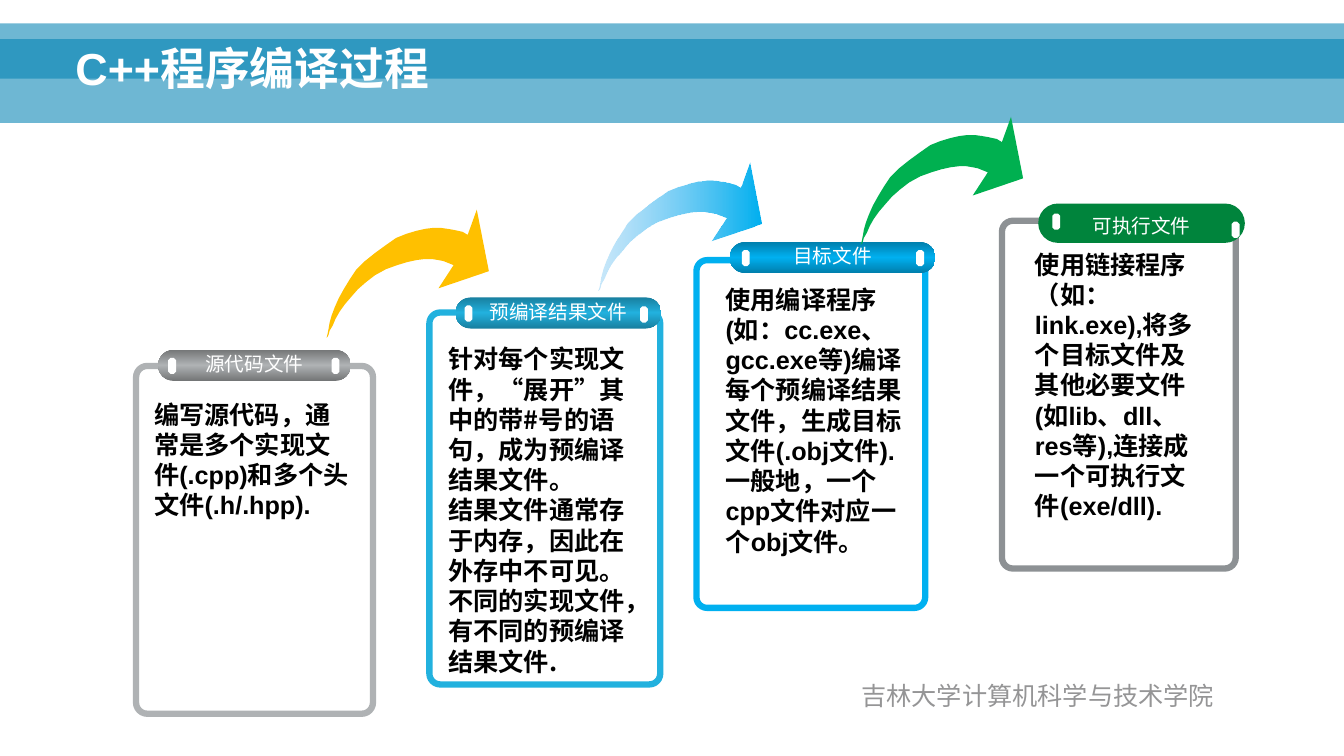
import pptx
import pptx.util
import pptx.dml.color
import pptx.enum.shapes
import pptx.enum.text
import pptx.oxml.ns
from lxml import etree

Pt = pptx.util.Pt
qn = pptx.oxml.ns.qn
SHAPE = pptx.enum.shapes.MSO_SHAPE
ALIGN = pptx.enum.text.PP_ALIGN
ANCHOR = pptx.enum.text.MSO_ANCHOR
CJK = "Noto Sans CJK SC"

# Swoosh outline in hundredths of an inch, from the tail round the head and back
SWOOSH = [
    (0, 127), (1, 126), (2, 124), (3, 120), (6, 115), (9, 108), (13, 101),
    (18, 94), (24, 87), (31, 79), (39, 72), (48, 65), (59, 59), (70, 55),
    (80, 52), (89, 50), (97, 49), (105, 49), (111, 50), (116, 51), (121, 53),
    (126, 55), (111, 78), (161, 61), (149, 0), (140, 25), (135, 22),
    (126, 20), (120, 19), (113, 18), (106, 18), (98, 19), (89, 21), (79, 24),
    (69, 28), (59, 35), (48, 43), (38, 51), (29, 60), (23, 69), (17, 79),
    (12, 88), (8, 97), (5, 105), (3, 112), (2, 118), (1, 123),
]

# Left, top and gradient stops of each arrow
ARROWS = [
    (233.3, 149.8, [(0, "FFC000")]),
    (427.7, 115.9, [(0, "5AB9F1", 32), (100, "00B0F0")]),
    (614.9, 83.5, [(0, "00B050")]),
]

# One card per stage; every box is left, top, width, height
CARDS = [
    dict(label="源代码文件", line="AFB2B4", edge="747677", middle="AFB2B4",
         frame=(97.2, 261.4, 169.2, 248.4), cap=(113, 249.8, 137.5, 22.3),
         notches=[(120.2, 255.6), (236.9, 255.6)],
         body=(103, 281.5, 157.7, 94.3), font="Arial",
         text="编写源代码，通常是多个实现文件(.cpp)和多个头文件(.h/.hpp)."),
    dict(label="预编译结果文件", line="22B1DE", edge="187F9F", middle="22B1DE",
         frame=(306.7, 223.2, 164.9, 265.7), cap=(325.4, 212.4, 146.9, 22.3),
         notches=[(331.9, 218.2), (457.2, 218.9)],
         body=(313.2, 241.9, 149.8, 247), font=CJK,
         text="针对每个实现文件，“展开”其中的带#号的语句，成为预编译结果文件。\n"
              "结果文件通常存于内存，因此在外存中不可见。\n"
              "不同的实现文件，有不同的预编译结果文件."),
    dict(label="目标文件", line="00B0F0", edge="007EAC", middle="00B0F0",
         frame=(497.5, 185.8, 163.4, 248.4), cap=(521.3, 172.8, 146.9, 22.3),
         notches=[(529.9, 178.6), (654.5, 178.6)],
         body=(511.2, 199.4, 143.3, 203.8), font="Arial",
         text="使用编译程序(如：cc.exe、gcc.exe等)编译每个预编译结果文件，"
              "生成目标文件(.obj文件).\n"
              "一般地，一个cpp文件对应一个obj文件。"),
    dict(label="可执行文件", line="8D9194", edge="00843C", middle="00843C",
         frame=(715.7, 157.7, 167, 248.4), cap=(741.6, 145.4, 147.6, 28.1),
         notches=[(751.7, 152.6), (879.8, 158.4)],
         body=(732.2, 174.2, 139.7, 181.4), font="Arial",
         text="使用链接程序（如：link.exe),将多个目标文件及其他必要文件"
              "(如lib、dll、res等),连接成一个可执行文件(exe/dll)."),
]


def rgb(color):
    return pptx.dml.color.RGBColor.from_string(color)


def add_alpha(color_element, percent):
    etree.SubElement(color_element, qn("a:alpha"), val=str(percent * 1000))


def paint(sp, stops, angle=0):
    """Fill with one colour or a gradient; a stop is position, colour[, opacity]."""
    if len({stop[1] for stop in stops}) == 1:
        sp.fill.solid()
        sp.fill.fore_color.rgb = rgb(stops[0][1])
        colors = [sp._element.spPr.find(f"{qn('a:solidFill')}/{qn('a:srgbClr')}")]
    else:
        sp.fill.gradient()
        sp.fill.gradient_angle = angle
        gs_list = sp._element.spPr.find(f"{qn('a:gradFill')}/{qn('a:gsLst')}")
        for gs in list(gs_list):
            gs_list.remove(gs)
        colors = []
        for stop in stops:
            gs = etree.SubElement(gs_list, qn("a:gs"), pos=str(stop[0] * 1000))
            colors.append(etree.SubElement(gs, qn("a:srgbClr"), val=stop[1]))
    for color, stop in zip(colors, stops):
        if len(stop) > 2:
            add_alpha(color, stop[2])


def add_shape(s, kind, box, stops=None, line=None, adj=None, angle=0):
    sp = s.shapes.add_shape(kind, *(Pt(v) for v in box))
    sp.shadow.inherit = False
    if adj is not None:
        sp.adjustments[0] = adj
    if stops:
        paint(sp, stops, angle)
    else:
        sp.fill.background()
    if line:
        sp.line.color.rgb = rgb(line)
        sp.line.width = Pt(4.5)
    else:
        sp.line.fill.background()
    return sp


def add_text(s, box, text, size, color, bold=False, font="Arial",
             align=ALIGN.LEFT, anchor=ANCHOR.TOP, wrap=True):
    tf = s.shapes.add_textbox(*(Pt(v) for v in box)).text_frame
    tf.word_wrap = wrap
    tf.vertical_anchor = anchor
    tf.text = text
    for p in tf.paragraphs:
        p.alignment = align
        p.line_spacing = Pt(size * 1.2)
        for r in p.runs:
            r.font.size = Pt(size)
            r.font.bold = bold
            r.font.name = font
            r.font.color.rgb = rgb(color)
            etree.SubElement(r.font._element, qn("a:ea"), typeface=CJK)


def add_swoosh(s, left, top, stops):
    builder = s.shapes.build_freeform(*SWOOSH[0], scale=Pt(0.72))
    builder.add_line_segments(SWOOSH[1:], close=True)
    sp = builder.convert_to_shape(Pt(left), Pt(top))
    sp.shadow.inherit = False
    sp.line.fill.background()
    paint(sp, stops)


def add_card(s, card):
    add_shape(s, SHAPE.ROUNDED_RECTANGLE, card["frame"], line=card["line"], adj=0.047)
    stops = [(0, card["edge"]), (50, card["middle"]), (100, card["edge"])]
    add_shape(s, SHAPE.ROUNDED_RECTANGLE, card["cap"], stops, adj=0.5, angle=90)
    for left, top in card["notches"]:
        add_shape(s, SHAPE.OCTAGON, (left, top, 5.6, 11.5), [(0, "FFFFFF")], adj=0.293)
    # The label stands on the lower edge of the cap
    left, top, width, height = card["cap"]
    add_text(s, (left, top + height - 24.3, width, 24.3), card["label"], 14,
             "FFFFFF", align=ALIGN.CENTER, wrap=False)
    add_text(s, card["body"], card["text"], 18, "000000", bold=True, font=card["font"])


def main():
    prs = pptx.Presentation()
    prs.slide_width, prs.slide_height = Pt(960), Pt(540)
    s = prs.slides.add_slide(prs.slide_layouts[6])

    # Header bands, title and footer
    for top, height in [(28, 59.8), (16.6, 39.6)]:
        add_shape(s, SHAPE.RECTANGLE, (0, top, 960, height), [(0, "0082B3", 57)])
    add_text(s, (46.8, 8.6, 862.6, 62.6), "C++程序编译过程", 32, "FFFFFF",
             bold=True, anchor=ANCHOR.BOTTOM)
    add_text(s, (466.6, 482.4, 549.4, 28.8), "吉林大学计算机科学与技术学院", 18,
             "959596", align=ALIGN.CENTER, anchor=ANCHOR.MIDDLE)

    # Stages and the arrows between them
    for card in CARDS:
        add_card(s, card)
    for left, top, stops in ARROWS:
        add_swoosh(s, left, top, stops)

    prs.save("out.pptx")


if __name__ == "__main__":
    main()
